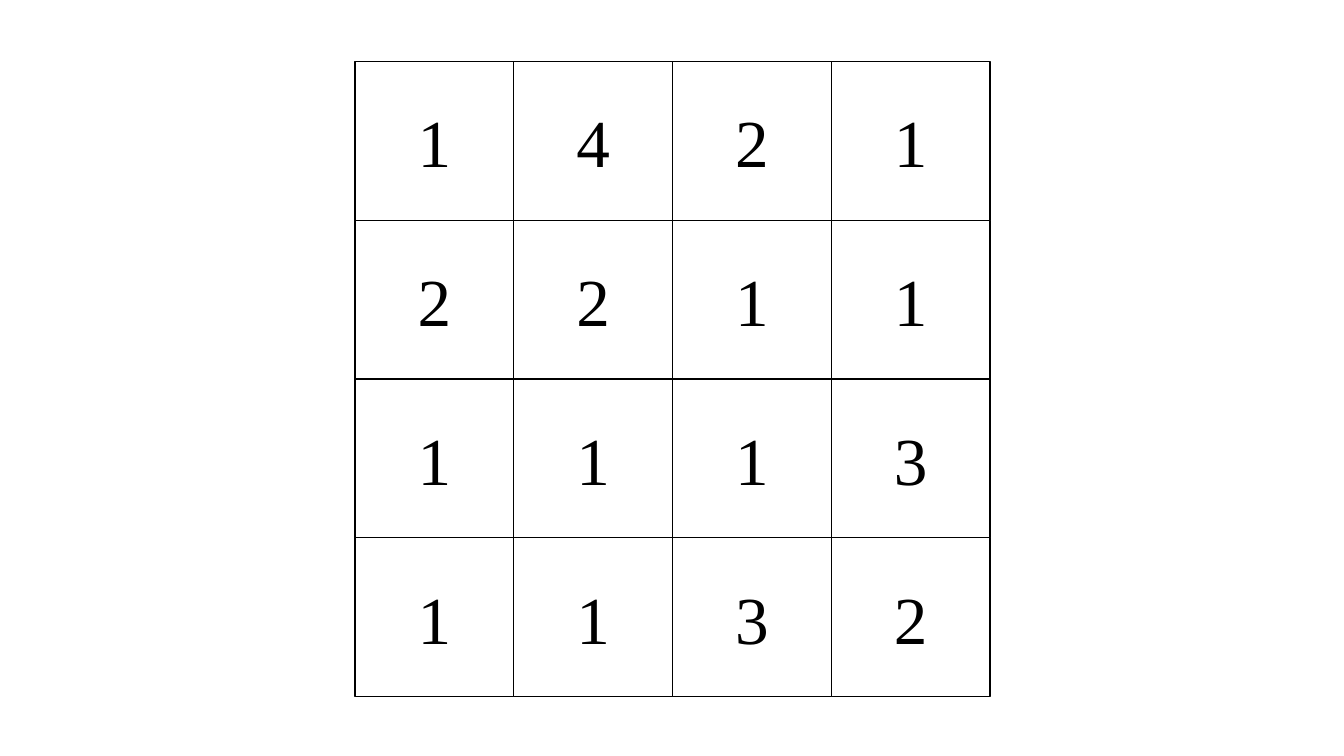
from pptx import Presentation
from pptx.dml.color import RGBColor
from pptx.enum.shapes import MSO_SHAPE
from pptx.enum.text import MSO_ANCHOR, PP_ALIGN
from pptx.util import Inches, Pt

RECT = MSO_SHAPE.RECTANGLE
MIDDLE = MSO_ANCHOR.MIDDLE
CENTER = PP_ALIGN.CENTER
BLACK = RGBColor(0x00, 0x00, 0x00)
WHITE = RGBColor(0xFF, 0xFF, 0xFF)
FONT = "Times New Roman"

NUMBERS = [
    [1, 4, 2, 1],
    [2, 2, 1, 1],
    [1, 1, 1, 3],
    [1, 1, 3, 2],
]


def add_cell(shapes, left, top, side, number):
    """Add one bordered square with a centred number."""
    sp = shapes.add_shape(RECT, Inches(left), Inches(top),
                          Inches(side), Inches(side))
    sp.shadow.inherit = False
    sp.fill.solid()
    sp.fill.fore_color.rgb = WHITE
    sp.line.color.rgb = BLACK
    sp.line.width = Pt(1)
    tf = sp.text_frame
    tf.vertical_anchor = MIDDLE
    p = tf.paragraphs[0]
    p.alignment = CENTER
    r = p.add_run()
    r.text = str(number)
    r.font.name = FONT
    r.font.size = Pt(48)
    r.font.color.rgb = BLACK


def add_number_grid(s, left, top, size, numbers):
    """Fill a square box with a grouped grid of equal cells."""
    grid = s.shapes.add_group_shape()
    side = size / len(numbers)
    for row, line in enumerate(numbers):
        for col, number in enumerate(line):
            add_cell(grid.shapes, left + col * side, top + row * side,
                     side, number)


def main():
    prs = Presentation()
    prs.slide_width = Inches(13.33)
    prs.slide_height = Inches(7.5)
    s = prs.slides.add_slide(prs.slide_layouts[6])

    # Matrix of numbers
    add_number_grid(s, 3.52, 0.61, 6.3, NUMBERS)

    prs.save("out.pptx")


if __name__ == "__main__":
    main()
